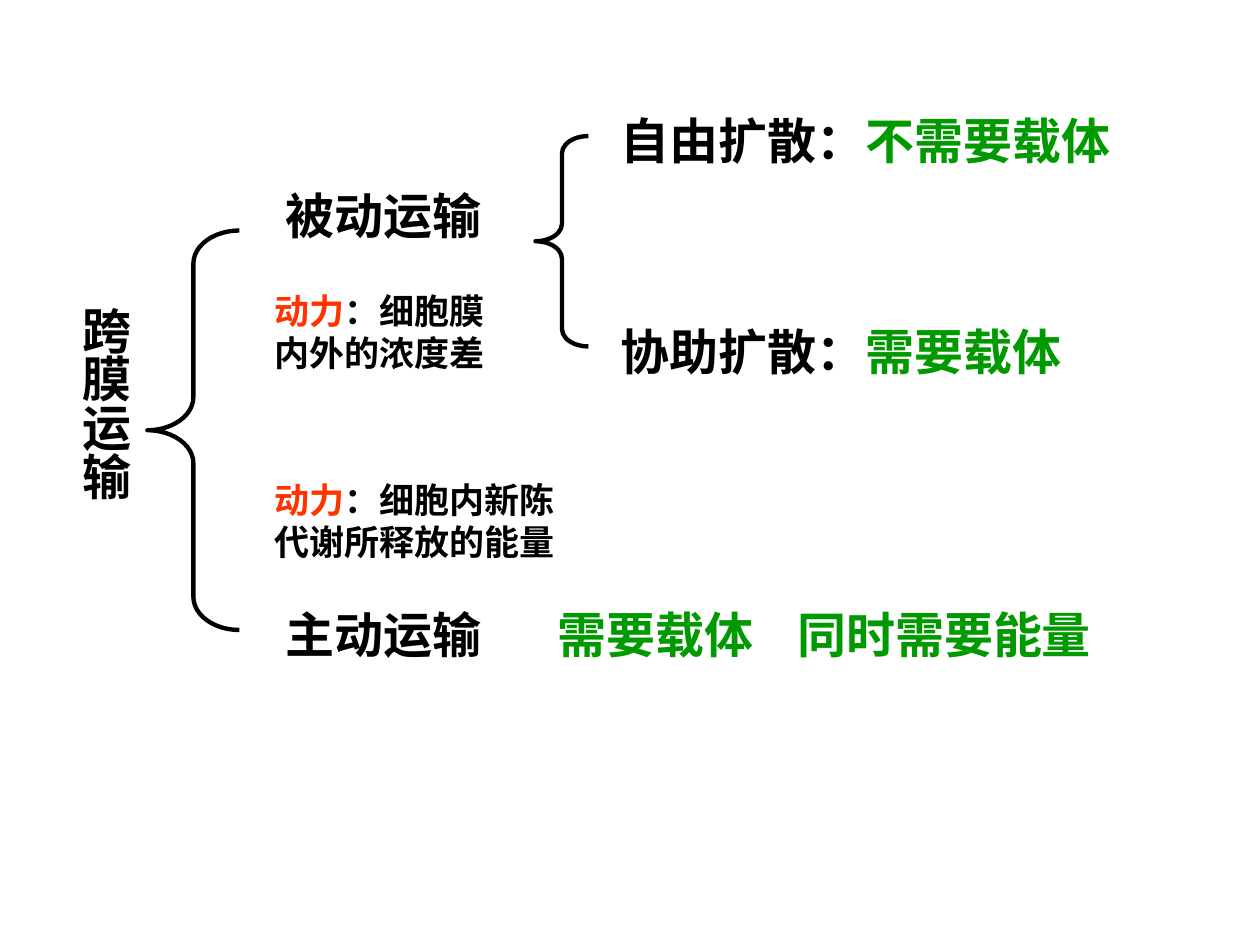
"""Build a slide that classifies transport across the cell membrane."""
from lxml.etree import SubElement
from pptx import Presentation
from pptx.dml.color import RGBColor
from pptx.enum.shapes import MSO_SHAPE as SHAPE
from pptx.enum.text import MSO_AUTO_SIZE as AUTO
from pptx.oxml.ns import qn
from pptx.util import Inches, Pt

COLORS = {"text": "000000", "force": "FF3300", "need": "009900"}


class Diagram:
    font = "Arial"
    large, small = 28, 20
    line_width = 2.5

    def __init__(self, slide):
        self.slide = slide

    def color(self, name):
        return RGBColor.from_string(COLORS[name])

    def label(self, box, *parts, size=large, vertical=False, tab=None):
        tf = self.slide.shapes.add_textbox(*map(Inches, box)).text_frame
        tf.word_wrap = True
        tf.auto_size = AUTO.SHAPE_TO_FIT_TEXT
        p = tf.paragraphs[0]
        if vertical:
            tf._txBody.bodyPr.set("vert", "eaVert")
        if tab:
            tabs = SubElement(p._p.get_or_add_pPr(), qn("a:tabLst"))
            SubElement(tabs, qn("a:tab"), pos=str(Inches(tab)), algn="l")
        p.font.name, p.font.size, p.font.bold = self.font, Pt(size), True
        for text, color in parts:
            r = p.add_run()
            r.text = text
            r.font.color.rgb = self.color(color)

    def force(self, box, text):
        self.label(box, ("动力", "force"), (f"：{text}", "text"), size=self.small)

    def brace(self, box, curve):
        sp = self.slide.shapes.add_shape(SHAPE.LEFT_BRACE, *map(Inches, box))
        sp.shadow.inherit = False
        sp.adjustments[0] = curve
        sp.fill.background()
        sp.line.color.rgb = self.color("text")
        sp.line.width = Pt(self.line_width)


def main():
    prs = Presentation()
    prs.slide_width, prs.slide_height = Inches(10), Inches(7.5)
    d = Diagram(prs.slides.add_slide(prs.slide_layouts[6]))

    d.label((0.45, 2.33, 0.67, 2.5), ("跨膜运输", "text"), vertical=True)
    d.brace((1.17, 1.83, 0.73, 3.17), 0.36)

    d.label((2.17, 1.42, 2.58, 0.57), ("被动运输", "text"))
    d.label((2.17, 4.75, 2.44, 0.57), ("主动运输", "text"))
    d.force((2.08, 2.25, 2.08, 0.77), "细胞膜内外的浓度差")
    d.force((2.08, 3.75, 2.67, 0.77), "细胞内新陈代谢所释放的能量")

    d.brace((4.25, 1.08, 0.42, 1.67), 0.33)
    d.label((4.83, 0.83, 4.17, 0.57), ("自由扩散：", "text"), ("不需要载体", "need"))
    d.label((4.83, 2.5, 3.83, 0.57), ("协助扩散：", "text"), ("需要载体", "need"))
    d.label((4.33, 4.75, 4.75, 0.57), ("需要载体\t同时需要能量", "need"), tab=1.9)

    prs.save("out.pptx")


if __name__ == "__main__":
    main()
